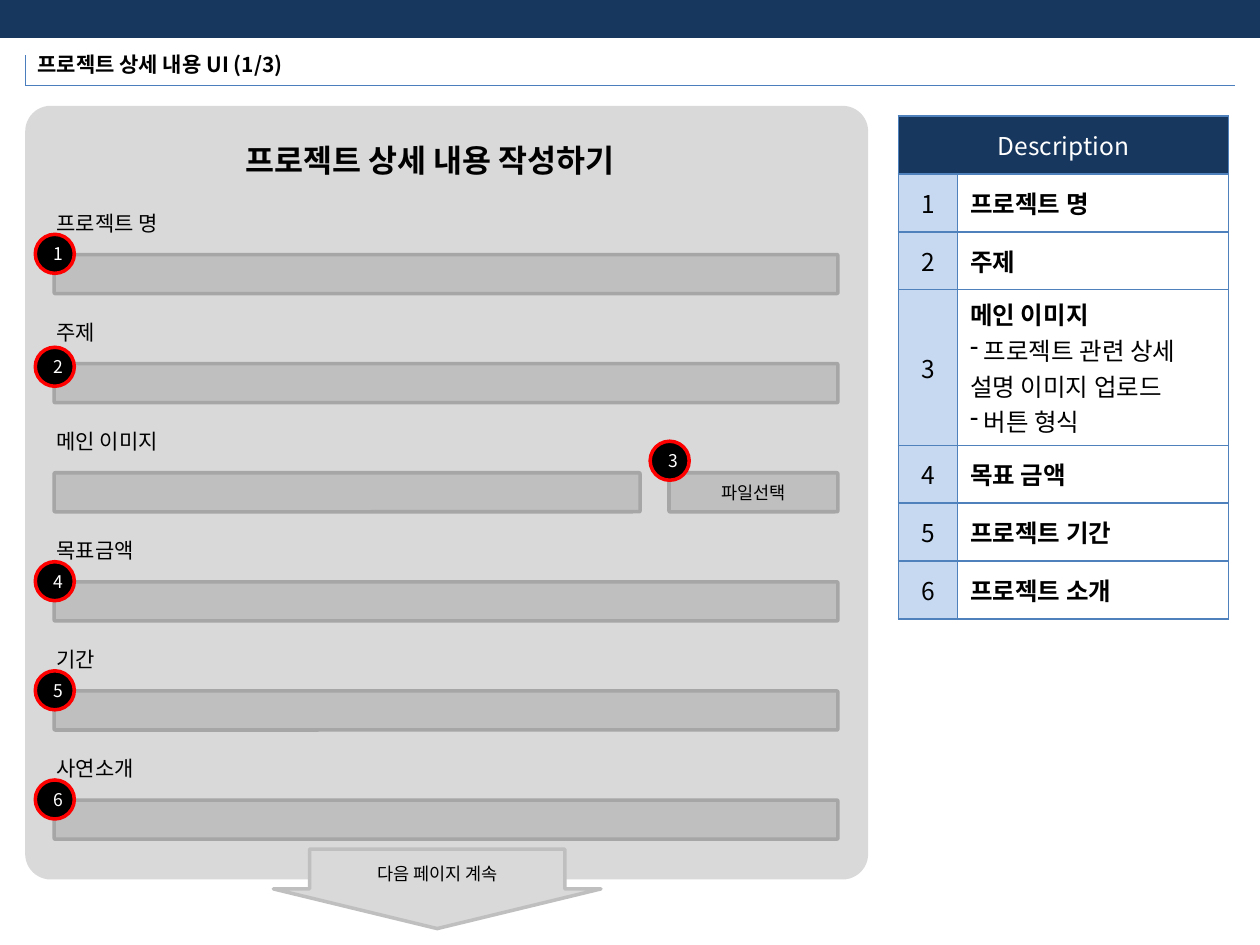
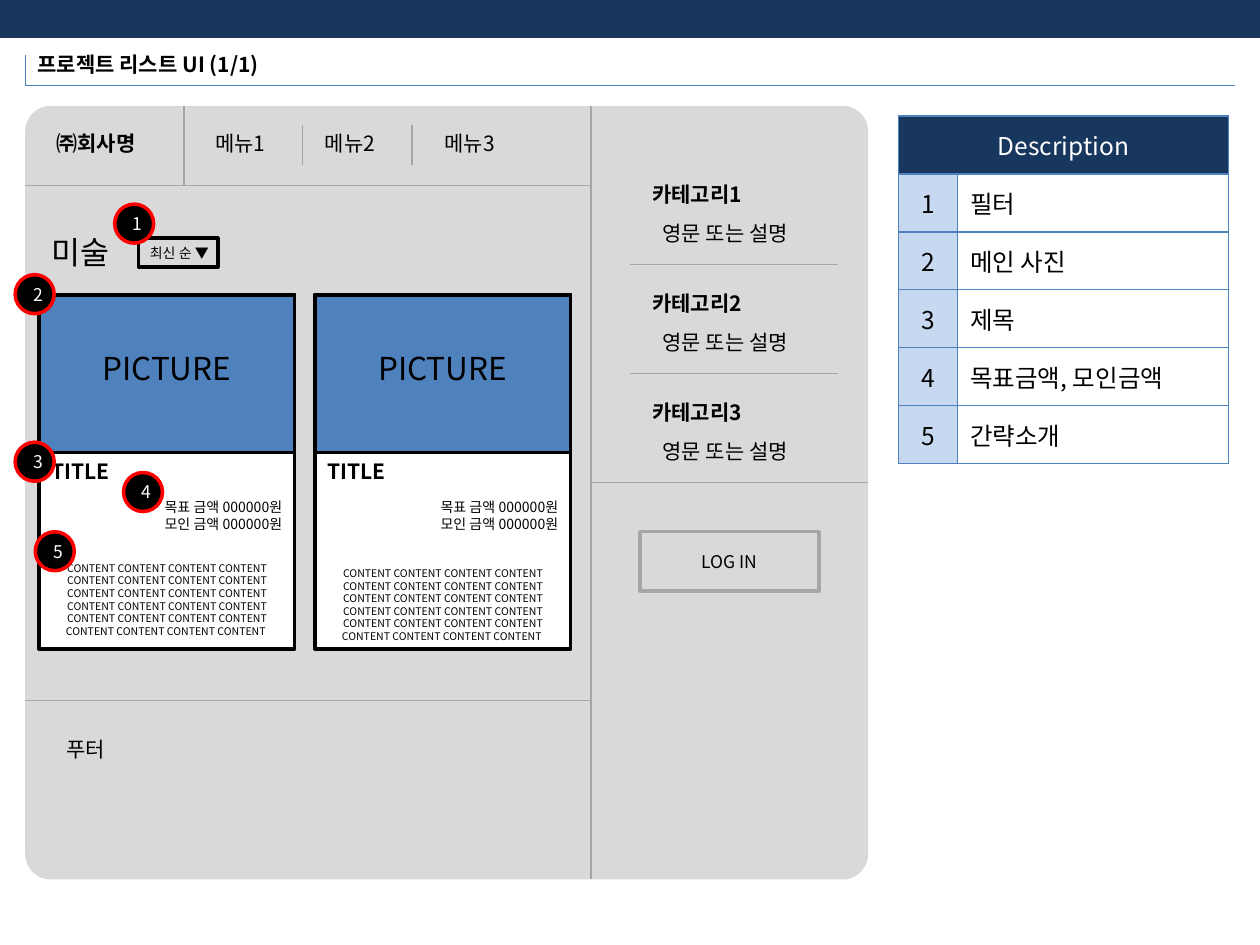
import pptx
import pptx.util
import pptx.dml.color
import pptx.enum.shapes
import pptx.enum.text
import pptx.oxml.ns
import lxml.etree

Inches = pptx.util.Inches
Pt = pptx.util.Pt
SHAPE = pptx.enum.shapes.MSO_SHAPE
ALIGN = pptx.enum.text.PP_ALIGN
ANCHOR = pptx.enum.text.MSO_ANCHOR
qn = pptx.oxml.ns.qn

FONT = "Noto Sans CJK KR"
NAVY, BLUE, PALE, RULE = "17375E", "4F81BD", "C6D9F1", "4B7EBC"
BLACK, WHITE, RED = "000000", "FFFFFF", "FF0000"
PANEL, FIELD, GREY = "D9D9D9", "BFBFBF", "A6A6A6"
STEP = (5.95 - 1.62) / 5


def rgb(value):
    return pptx.dml.color.RGBColor.from_string(value)


def add_run(p, text, size, color=BLACK, bold=False):
    r = p.add_run()
    r.text = text
    r.font.size = Pt(size)
    r.font.bold = bold
    r.font.name = FONT
    r.font.color.rgb = rgb(color)
    ea = lxml.etree.SubElement(r.font._element, qn("a:ea"))
    ea.set("typeface", FONT)


def write(tf, lines, size, color=BLACK, bold=False, align=ALIGN.LEFT):
    for i, line in enumerate(lines):
        p = tf.paragraphs[0] if i == 0 else tf.add_paragraph()
        p.alignment = align
        add_run(p, line, size, color, bold)


def add_text(s, box, text, size=12, bold=False, align=ALIGN.LEFT, wrap=False):
    tf = s.shapes.add_textbox(*map(Inches, box)).text_frame
    tf.word_wrap = wrap
    tf.auto_size = pptx.enum.text.MSO_AUTO_SIZE.SHAPE_TO_FIT_TEXT
    write(tf, text.split("\n"), size, bold=bold, align=align)


def add_box(s, kind, box, fill=None, line=None, text=None, color=BLACK, adj=()):
    sp = s.shapes.add_shape(kind, *map(Inches, box))
    sp.shadow.inherit = False
    for i, value in enumerate(adj):
        sp.adjustments[i] = value
    if fill:
        sp.fill.solid()
        sp.fill.fore_color.rgb = rgb(fill)
    else:
        sp.fill.background()
    if line:
        sp.line.color.rgb = rgb(line)
        sp.line.width = Pt(2)
    else:
        sp.line.fill.background()
    if text:
        sp.text_frame.vertical_anchor = ANCHOR.MIDDLE
        write(sp.text_frame, [text], 10, color, align=ALIGN.CENTER)


def add_line(s, x1, y1, x2, y2, color=GREY):
    kind = pptx.enum.shapes.MSO_CONNECTOR.STRAIGHT
    ln = s.shapes.add_connector(kind, *map(Inches, (x1, y1, x2, y2)))
    ln.line.color.rgb = rgb(color)
    ln.line.width = Pt(0.75)
    lxml.etree.SubElement(ln._element.spPr, qn("a:effectLst"))


def add_badge(s, number, x, y):
    add_box(s, SHAPE.OVAL, (x, y, 0.31, 0.31), BLACK, RED, str(number), WHITE)


def add_field(s, x, y, width, text=None):
    add_box(s, SHAPE.ROUNDED_RECTANGLE, (x, y, width, 0.31), FIELD, GREY, text, adj=[0.027])


def style_cell(cell, fill):
    tcPr = cell._tc.get_or_add_tcPr()
    for side in ("lnL", "lnR", "lnT", "lnB"):
        ln = lxml.etree.SubElement(tcPr, qn("a:" + side), w=str(Pt(1)))
        solid = lxml.etree.SubElement(ln, qn("a:solidFill"))
        lxml.etree.SubElement(solid, qn("a:srgbClr"), val=BLUE)
    cell.fill.solid()
    cell.fill.fore_color.rgb = rgb(fill)
    cell.vertical_anchor = ANCHOR.MIDDLE


def add_dash(p):
    pPr = p._p.get_or_add_pPr()
    pPr.set("marL", "0")
    pPr.set("indent", "0")
    lxml.etree.SubElement(pPr, qn("a:buChar"), char="-")


def add_description(s, items, bold):
    frame = s.shapes.add_table(len(items) + 1, 2, *map(Inches, (7.13, 0.92, 2.62, 1)))
    table = frame.table
    table.first_row = table.horz_banding = False
    for column, width in zip(table.columns, (0.47, 2.15)):
        column.width = Inches(width)
    for row in table.rows:
        row.height = Inches(0.46)
    for cell in table.rows[0].cells:
        style_cell(cell, NAVY)
    head = table.cell(0, 0)
    head.merge(table.cell(0, 1))
    write(head.text_frame, ["Description"], 14, WHITE, align=ALIGN.CENTER)
    for i, (title, *notes) in enumerate(items, 1):
        number, detail = table.cell(i, 0), table.cell(i, 1)
        style_cell(number, PALE)
        style_cell(detail, WHITE)
        write(number.text_frame, [str(i)], 14, align=ALIGN.CENTER)
        write(detail.text_frame, [title], 14, bold=bold)
        for note in notes:
            p = detail.text_frame.add_paragraph()
            add_dash(p)
            add_run(p, note, 14)
        if notes:
            table.rows[i].height = Inches(1.03)


def add_page(prs, title, title_width, items, bold):
    s = prs.slides.add_slide(prs.slide_layouts[6])
    add_box(s, SHAPE.RECTANGLE, (0, 0, 10, 0.29), NAVY, NAVY)
    add_line(s, 0.2, 0.44, 0.2, 0.68, RULE)
    add_line(s, 0.2, 0.68, 9.8, 0.68, RULE)
    add_description(s, items, bold)
    add_text(s, (0.2, 0.36, title_width, 0.3), title, bold=True)
    add_box(s, SHAPE.ROUNDED_RECTANGLE, (0.2, 0.84, 6.69, 6.14), PANEL, adj=[0.033])
    return s


def add_form(s):
    add_box(s, SHAPE.DOWN_ARROW, (2.17, 6.74, 2.6, 0.63), PANEL, FIELD,
            "다음 페이지 계속", adj=[0.779, 0.5])
    add_text(s, (1.85, 1.07, 3.5, 0.4), "프로젝트 상세 내용 작성하기", 18, True)
    rows = [("프로젝트 명", 1.1, 0.28, 0.24), ("주제", 0.54, 0.28, 0.27),
            ("메인 이미지", 1.1, 5.16, 0.15), ("목표금액", 0.88, 0.28, 0.24),
            ("기간", 0.54, 0.28, 0.24), ("사연소개", 0.88, 0.28, 0.24)]
    for i, (label, width, badge_x, badge_dy) in enumerate(rows):
        y = 1.62 + i * STEP
        add_text(s, (0.35, y, width, 0.3), label)
        if label == "메인 이미지":
            add_field(s, 0.43, y + 0.4, 4.65)
            add_field(s, 5.31, y + 0.4, 1.34, "파일선택")
        else:
            add_field(s, 0.43, y + 0.4, 6.22)
        add_badge(s, i + 1, badge_x, y + badge_dy)


def add_menu(s):
    add_text(s, (0.35, 0.99, 0.88, 0.3), "㈜회사명", bold=True)
    for i, x in enumerate((1.61, 2.48, 3.43), 1):
        add_text(s, (x, 0.99, 0.63, 0.3), f"메뉴{i}")
    add_line(s, 0.2, 1.47, 4.69, 1.47)
    add_line(s, 1.46, 1.47, 1.46, 0.84)
    for x in (2.4, 3.27):
        add_line(s, x, 1.31, x, 0.99)


def add_sidebar(s):
    add_line(s, 4.69, 0.84, 4.69, 6.98)
    for i, (left, right) in enumerate([(5, 6.65), (5, 6.65), (4.69, 6.89)]):
        y = 1.39 + i * STEP
        add_text(s, (5.08, y, 0.97, 0.3), f"카테고리{i + 1}", bold=True)
        add_text(s, (5.16, y + 0.31, 1.33, 0.3), "영문 또는 설명")
        add_line(s, left, y + 0.71, right, y + 0.71)
    add_box(s, SHAPE.RECTANGLE, (5.08, 4.22, 1.42, 0.47), line=GREY, text="LOG IN")


def add_card(s, x, content_y):
    add_box(s, SHAPE.RECTANGLE, (x, 2.34, 2.03, 2.81), WHITE, BLACK)
    add_box(s, SHAPE.RECTANGLE, (x, 2.34, 2.03, 1.25), BLUE, BLACK)
    texts = [(2.72, 0.4, "PICTURE", 18, False, ALIGN.CENTER),
             (3.59, 0.3, "TITLE", 12, True, ALIGN.LEFT),
             (3.91, 0.37, "목표 금액 000000원\n모인 금액 000000원", 8, False, ALIGN.RIGHT),
             (content_y, 0.71, "CONTENT " * 24, 6, False, ALIGN.CENTER)]
    for y, height, text, size, bold, align in texts:
        add_text(s, (x, y, 2.03, height), text, size, bold, align, wrap=True)


def add_list(s):
    add_menu(s)
    add_sidebar(s)
    add_line(s, 0.2, 5.56, 4.69, 5.56)
    add_text(s, (0.43, 5.8, 0.54, 0.3), "푸터")
    add_text(s, (0.31, 1.8, 0.71, 0.4), "미술", 18)
    add_box(s, SHAPE.RECTANGLE, (1.1, 1.89, 0.63, 0.23), line=BLACK)
    add_text(s, (1.06, 1.89, 0.73, 0.24), "최신 순 ▼", 8, align=ALIGN.CENTER)
    add_card(s, 0.31, 4.41)
    add_card(s, 2.5, 4.45)
    badges = [(0.91, 1.62), (0.12, 2.18), (0.12, 3.51), (0.98, 3.75), (0.28, 4.22)]
    for i, (x, y) in enumerate(badges, 1):
        add_badge(s, i, x, y)


def main():
    prs = pptx.Presentation()
    prs.slide_width, prs.slide_height = Inches(10), Inches(7.5)
    form_items = [("프로젝트 명",), ("주제",),
                  ("메인 이미지", " 프로젝트 관련 상세 설명 이미지 업로드", " 버튼 형식"),
                  ("목표 금액",), ("프로젝트 기간",), ("프로젝트 소개",)]
    list_items = [("필터",), ("메인 사진",), ("제목",), ("목표금액, 모인금액",), ("간략소개",)]
    add_form(add_page(prs, "프로젝트 상세 내용 UI (1/3)", 2.35, form_items, True))
    add_list(add_page(prs, "프로젝트 리스트 UI (1/1)", 2.12, list_items, False))
    prs.save("out.pptx")


main()
